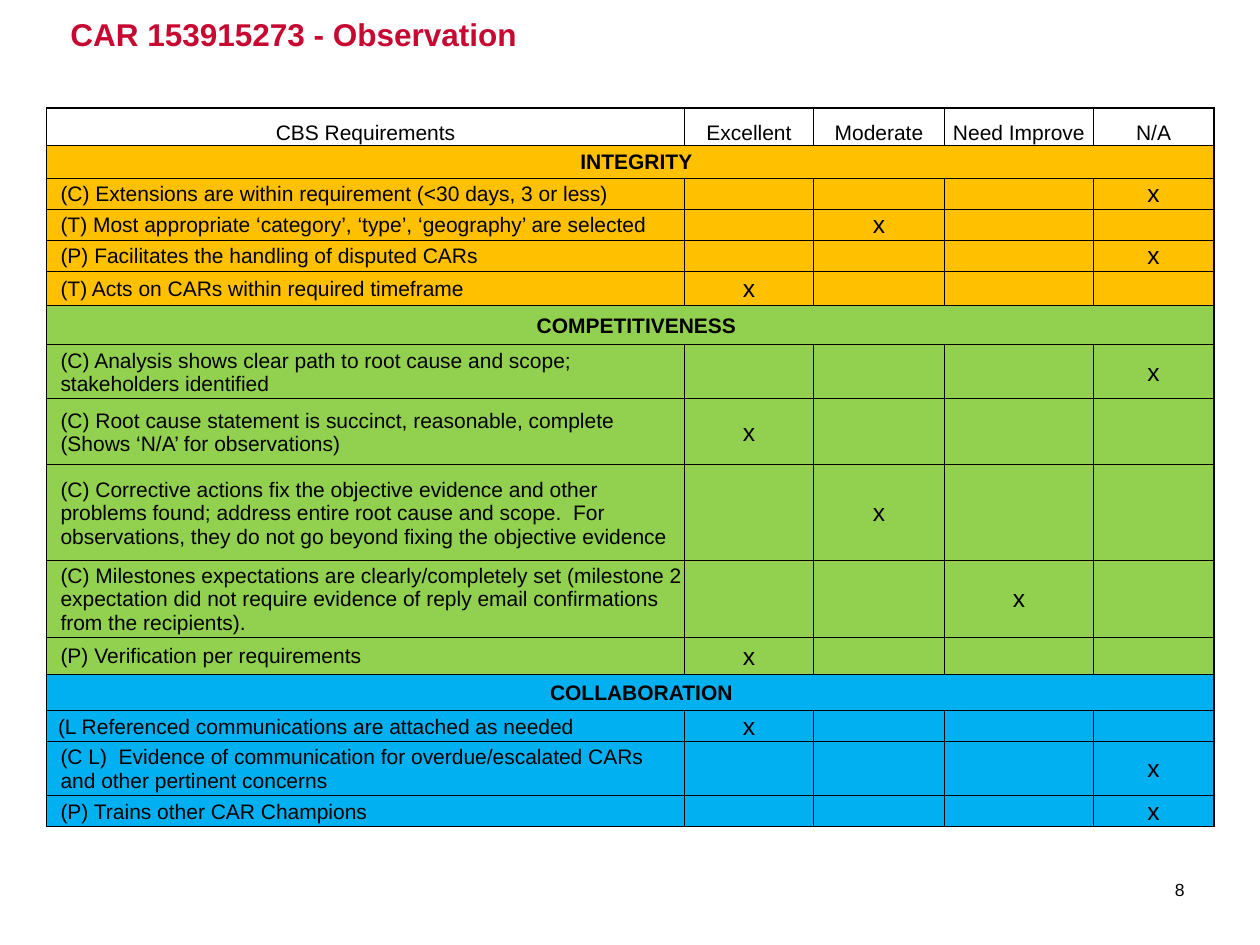
from lxml.etree import SubElement
from pptx import Presentation
from pptx.dml.color import RGBColor
from pptx.enum.text import MSO_ANCHOR, PP_ALIGN
from pptx.oxml.ns import qn
from pptx.util import Cm, Pt

COLORS = {
    "title": "C70932",
    "text": "000000",
    "INTEGRITY": "FFC000",
    "COMPETITIVENESS": "92D050",
    "COLLABORATION": "00B0F0",
}
HEADERS = ["CBS Requirements", "Excellent", "Moderate", "Need Improve", "N/A"]
COL_WIDTHS = [12.86, 2.6, 2.64, 3, 2.43]
SECTIONS = [
    ("INTEGRITY", 0.66, [
        (0.62, "(C) Extensions are within requirement (<30 days, 3 or less)", "N/A"),
        (0.62, "(T) Most appropriate ‘category’, ‘type’, ‘geography’ are selected", "Moderate"),
        (0.61, "(P) Facilitates the handling of disputed CARs", "N/A"),
        (0.7, "(T) Acts on CARs within required timeframe", "Excellent"),
    ]),
    ("COMPETITIVENESS", 0.79, [
        (1.09, "(C) Analysis shows clear path to root cause and scope;\nstakeholders identified", "N/A"),
        (1.33, "(C) Root cause statement is succinct, reasonable, complete\n(Shows ‘N/A’ for observations)", "Excellent"),
        (1.92, "(C) Corrective actions fix the objective evidence and other problems found; address entire root cause and scope.  For observations, they do not go beyond fixing the objective evidence", "Moderate"),
        (1.55, "(C) Milestones expectations are clearly/completely set (milestone 2 expectation did not require evidence of reply email confirmations from the recipients).", "Need Improve"),
        (0.75, "(P) Verification per requirements", "Excellent"),
    ]),
    ("COLLABORATION", 0.73, [
        (0.62, "(L Referenced communications are attached as needed", "Excellent"),
        (1.09, "(C L)  Evidence of communication for overdue/escalated CARs and other pertinent concerns", "N/A"),
        (0.62, "(P) Trains other CAR Champions", "N/A"),
    ]),
]


def style(tf, size, color, bold=False, align=PP_ALIGN.LEFT, indent=0):
    for p in tf.paragraphs:
        p.alignment = align
        if indent:
            p._p.get_or_add_pPr().set("marL", str(Cm(indent)))
        for r in p.runs:
            r.font.name = "Arial"
            r.font.size = Pt(size)
            r.font.bold = bold
            r.font.color.rgb = RGBColor.from_string(COLORS[color])
        if not p.runs:
            SubElement(p._p, qn("a:endParaRPr"), sz=str(size * 100))


def frame_cell(cell, edges, fill, anchor=MSO_ANCHOR.MIDDLE, left=0.03):
    cell.margin_left, cell.margin_right = Cm(left), Cm(0.03)
    cell.margin_top, cell.margin_bottom = Cm(0.03), 0
    cell.vertical_anchor = anchor
    tcPr = cell._tc.get_or_add_tcPr()
    for side in "LRTB":
        width = Pt(1) if side in edges else Pt(0.5)
        ln = SubElement(tcPr, qn(f"a:ln{side}"), w=str(width))
        SubElement(SubElement(ln, qn("a:solidFill")), qn("a:srgbClr"), val=COLORS["text"])
    if fill:
        cell.fill.solid()
        cell.fill.fore_color.rgb = RGBColor.from_string(COLORS[fill])
    else:
        cell.fill.background()


prs = Presentation()
prs.slide_width, prs.slide_height = Cm(25.4), Cm(19.05)
s = prs.slides.add_slide(prs.slide_layouts[6])

for text, box, size, color, bold, align, anchor in [
    ("CAR 153915273 - Observation", (1.17, 0.18, 9.53, 1), 18, "title", True, PP_ALIGN.LEFT, MSO_ANCHOR.TOP),
    ("8", (22.35, 17.42, 1.78, 1.02), 10, "text", False, PP_ALIGN.RIGHT, MSO_ANCHOR.MIDDLE),
]:
    tf = s.shapes.add_textbox(*map(Cm, box)).text_frame
    tf.word_wrap = True
    tf.vertical_anchor = anchor
    tf.text = text
    style(tf, size, color, bold, align)

rows = [(0.75, "CBS Requirements", None, None)]
for name, height, items in SECTIONS:
    rows.append((height, name, None, name))
    rows += [(h, text, mark, name) for h, text, mark in items]

table = s.shapes.add_table(
    len(rows), len(HEADERS), Cm(0.94), Cm(2.18),
    Cm(sum(COL_WIDTHS)), Cm(sum(row[0] for row in rows)),
).table
table.first_row = table.horz_banding = False
for column, width in zip(table.columns, COL_WIDTHS):
    column.width = Cm(width)

last_row, last_col = len(rows) - 1, len(HEADERS) - 1
for i, (height, text, mark, section) in enumerate(rows):
    table.rows[i].height = Cm(height)
    is_header = section is None
    is_band = text == section
    is_flush = text.startswith("(L ")
    if is_band:
        table.cell(i, 0).merge(table.cell(i, last_col))
    for j, header in enumerate(HEADERS):
        cell = table.cell(i, j)
        edges = ("L" if j == 0 else "") + ("R" if j == last_col or is_band else "")
        edges += ("T" if i == 0 else "") + ("B" if i == last_row else "")
        wide_inset = j == 0 and (is_flush or text == "COLLABORATION")
        frame_cell(cell, edges, section,
                   MSO_ANCHOR.BOTTOM if is_header else MSO_ANCHOR.MIDDLE,
                   0.23 if wide_inset else 0.03)
        if is_header:
            cell.text = header
        elif j == 0:
            cell.text = text
        elif header == mark:
            cell.text = "x"
        is_requirement = j == 0 and not is_header and not is_band
        style(cell.text_frame, 14 if header == mark else 12, "text", is_band,
              PP_ALIGN.LEFT if is_requirement else PP_ALIGN.CENTER,
              0.25 if j == 0 and not is_header and not is_flush else 0)

prs.save("out.pptx")
